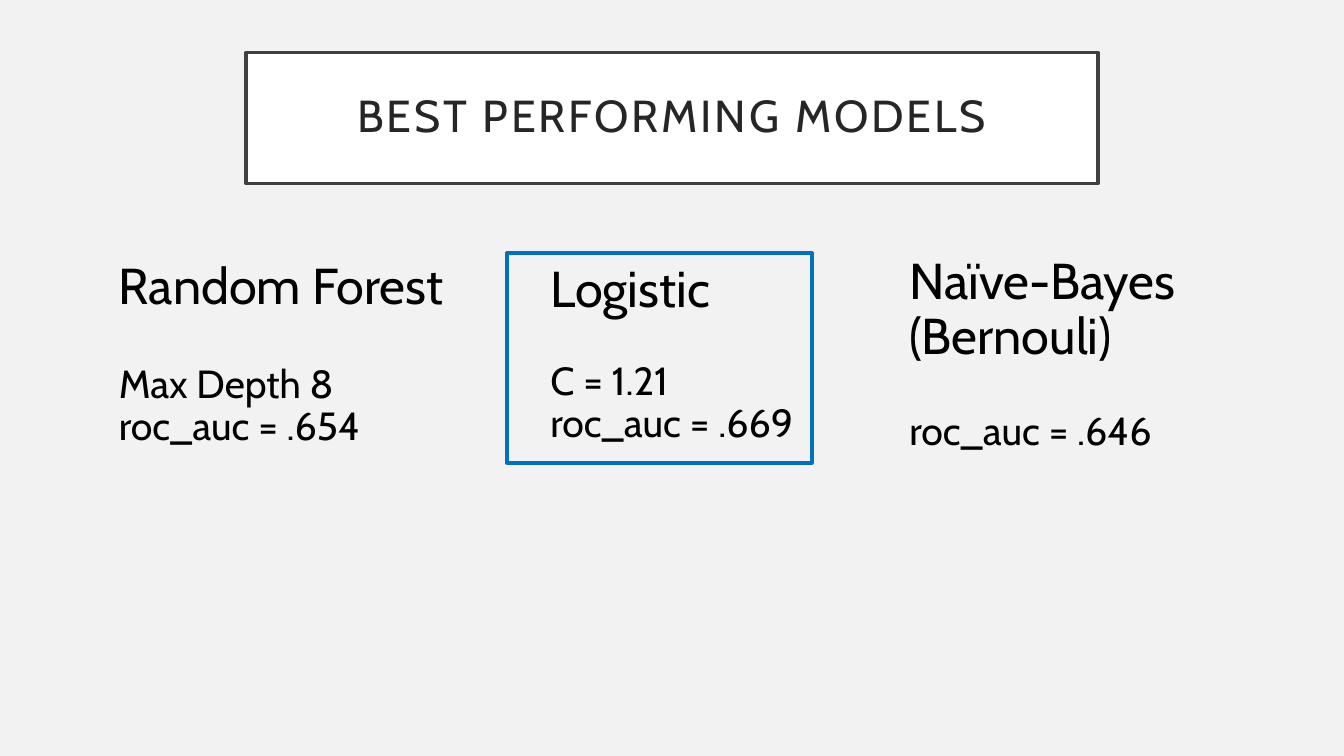
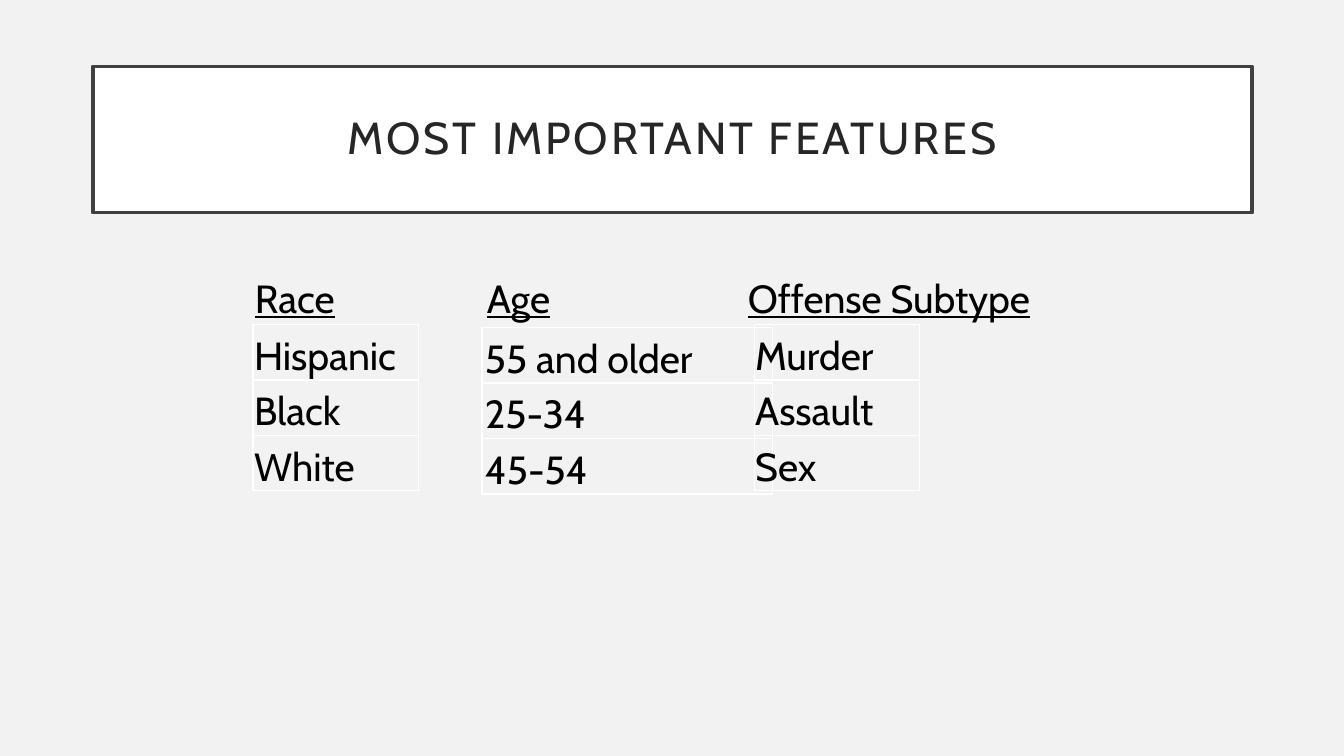
"""Build two slides on the best models and the most important features."""
from dataclasses import dataclass

from lxml.etree import SubElement as Sub
from pptx import Presentation
from pptx.dml.color import RGBColor as RGB
from pptx.enum.shapes import MSO_SHAPE as Shape
from pptx.enum.text import MSO_ANCHOR as Anchor, MSO_AUTO_SIZE as Fit, PP_ALIGN as Align
from pptx.oxml.ns import qn
from pptx.util import Inches, Pt


@dataclass(frozen=True)
class Theme:
    font: str = "Cabin"
    back: str = "F2F2F2"
    white: str = "FFFFFF"
    frame: str = "404040"
    title: str = "262626"
    ink: str = "000000"
    mark: str = "0070C0"
    head: int = 32
    name: int = 36
    text: int = 28
    tight: float = 0.9


LOOK = Theme()


def color(code):
    return RGB.from_string(code)


def place(*spots):
    return [Inches(spot) for spot in spots]


def style(para, size, ink=LOOK.ink):
    font = para.font
    font.name, font.size = LOOK.font, Pt(size)
    font.color.rgb = color(ink)


def add_slide(deck, title, box):
    slide = deck.slides.add_slide(deck.slide_layouts.get_by_name("Title Only"))
    shape = slide.shapes.title
    shape.left, shape.top, shape.width, shape.height = place(*box)
    shape.fill.solid()
    shape.fill.fore_color.rgb = color(LOOK.white)
    shape.line.color.rgb = color(LOOK.frame)
    shape.line.width = Pt(2.5)
    frame = shape.text_frame
    frame.text = title
    frame.auto_size, frame.word_wrap = Fit.NONE, True
    frame.vertical_anchor = Anchor.MIDDLE
    frame.margin_left = frame.margin_right = Inches(0.2)
    frame.margin_top = frame.margin_bottom = Inches(0.2)
    para = frame.paragraphs[0]
    para.alignment, para.line_spacing = Align.CENTER, LOOK.tight
    style(para, LOOK.head, LOOK.title)
    para.runs[0].font._element.set("spc", "200")
    return slide


def add_text(slide, box, lines):
    frame = slide.shapes.add_textbox(*place(*box)).text_frame
    frame.word_wrap = True
    frame.text = "\n".join(lines)
    return frame


def add_model(slide, left, width, names, facts, gap):
    frame = add_text(slide, (left, 1.11, width, 4.82), names + facts)
    frame.vertical_anchor = Anchor.MIDDLE
    for row, para in enumerate(frame.paragraphs):
        para.line_spacing = LOOK.tight
        style(para, LOOK.name if row < len(names) else LOOK.text)
        if row == len(names):
            para.space_before = Pt(gap)


def add_mark(slide, box):
    shape = slide.shapes.add_shape(Shape.RECTANGLE, *place(*box))
    shape.shadow.inherit = False
    shape.fill.background()
    shape.line.color.rgb = color(LOOK.mark)
    shape.line.width = Pt(3)


def add_edges(cell):
    props = cell._tc.get_or_add_tcPr()
    for side in "LRTB":
        line = Sub(props, qn(f"a:ln{side}"), w=str(Pt(1)))
        Sub(Sub(line, qn("a:solidFill")), qn("a:srgbClr"), val=LOOK.white)


def add_list(slide, left, top, width, items, inset):
    size = place(left, top, width, 0.55 * len(items))
    table = slide.shapes.add_table(len(items), 1, *size).table
    table.first_row = table.horz_banding = False
    for row, item in enumerate(items):
        cell = table.cell(row, 0)
        add_edges(cell)
        cell.fill.background()
        cell.text = item
        cell.vertical_anchor = Anchor.BOTTOM
        cell.margin_left = cell.margin_right = cell.margin_top = Inches(inset)
        cell.margin_bottom = 0
        style(cell.text_frame.paragraphs[0], LOOK.text)


def add_label(slide, left, width, text):
    para = add_text(slide, (left, 2.67, width, 0.57), [text]).paragraphs[0]
    style(para, LOOK.text)
    para.font.underline = True


def show_models(deck):
    slide = add_slide(deck, "BEST PERFORMING MODELS", (2.44, 0.52, 8.45, 1.3))
    add_mark(slide, (5.03, 2.51, 3.02, 2.08))
    for model in (
        (1.08, 4.6, ["Random Forest"], ["Max Depth 8", "roc_auc = .654"], 35),
        (5.36, 3.48, ["Logistic"], ["C = 1.21", "roc_auc = .669"], 31),
        (8.92, 4.6, ["Naïve-Bayes", "(Bernouli)"], ["roc_auc = .646"], 33),
    ):
        add_model(slide, *model)


def show_features(deck):
    slide = add_slide(deck, "MOST IMPORTANT FEATURES", (0.92, 0.66, 11.5, 1.45))
    for label, group in (
        ((2.43, 1.83, "Race"),
         (2.51, 3.22, 1.64, ["Hispanic", "Black", "White"], 0.01)),
        ((4.73, 1.83, "Age"),
         (4.78, 3.25, 2.88, ["55 and older", "25-34", "45-54"], 0.03)),
        ((7.32, 3.24, "Offense Subtype"),
         (7.48, 3.22, 1.64, ["Murder", "Assault", "Sex"], 0.01)),
    ):
        add_list(slide, *group)
        add_label(slide, *label)


def main():
    deck = Presentation()
    deck.slide_width, deck.slide_height = place(13.33, 7.5)
    fill = deck.slide_master.background.fill
    fill.solid()
    fill.fore_color.rgb = color(LOOK.back)
    show_models(deck)
    show_features(deck)
    deck.save("out.pptx")


if __name__ == "__main__":
    main()
